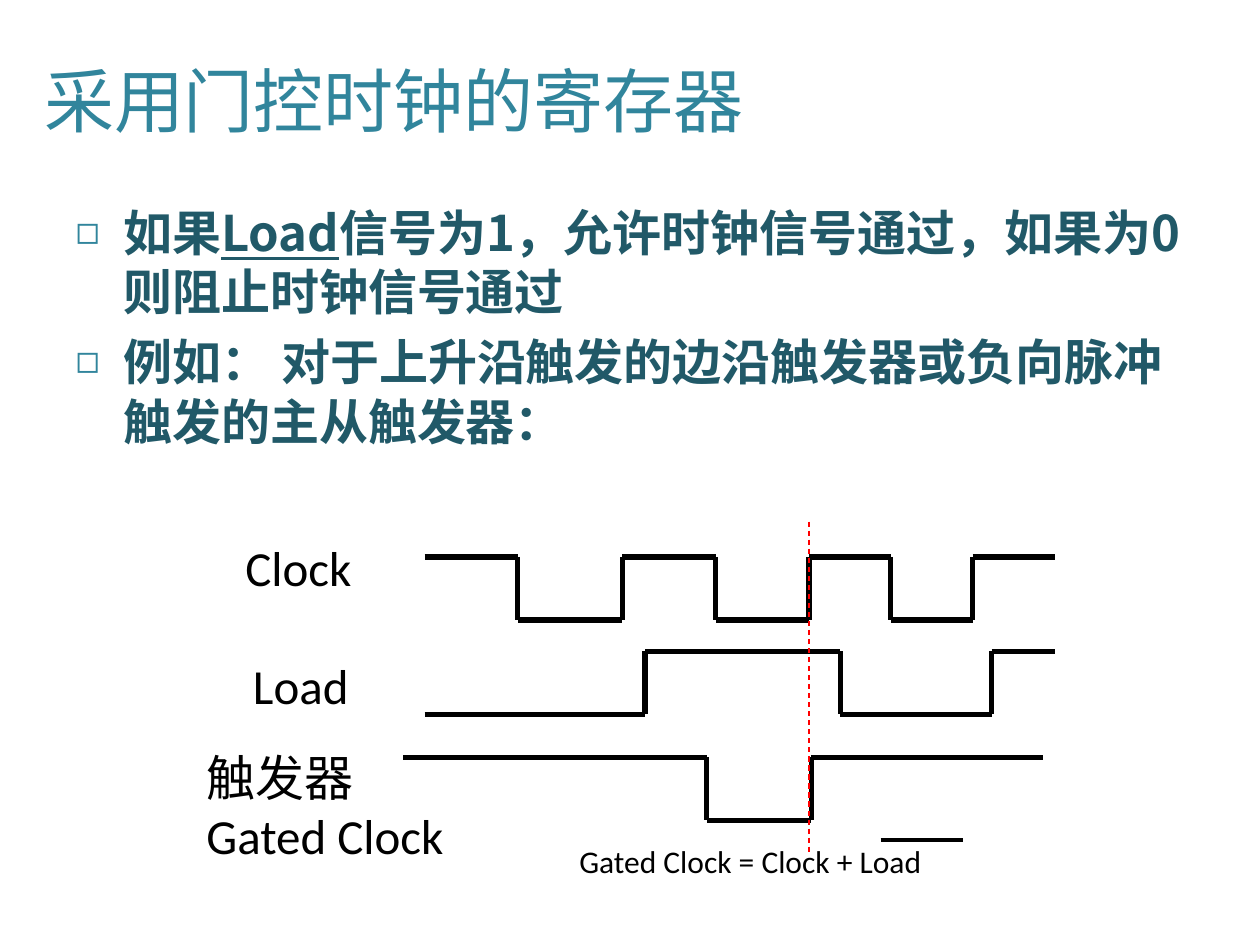
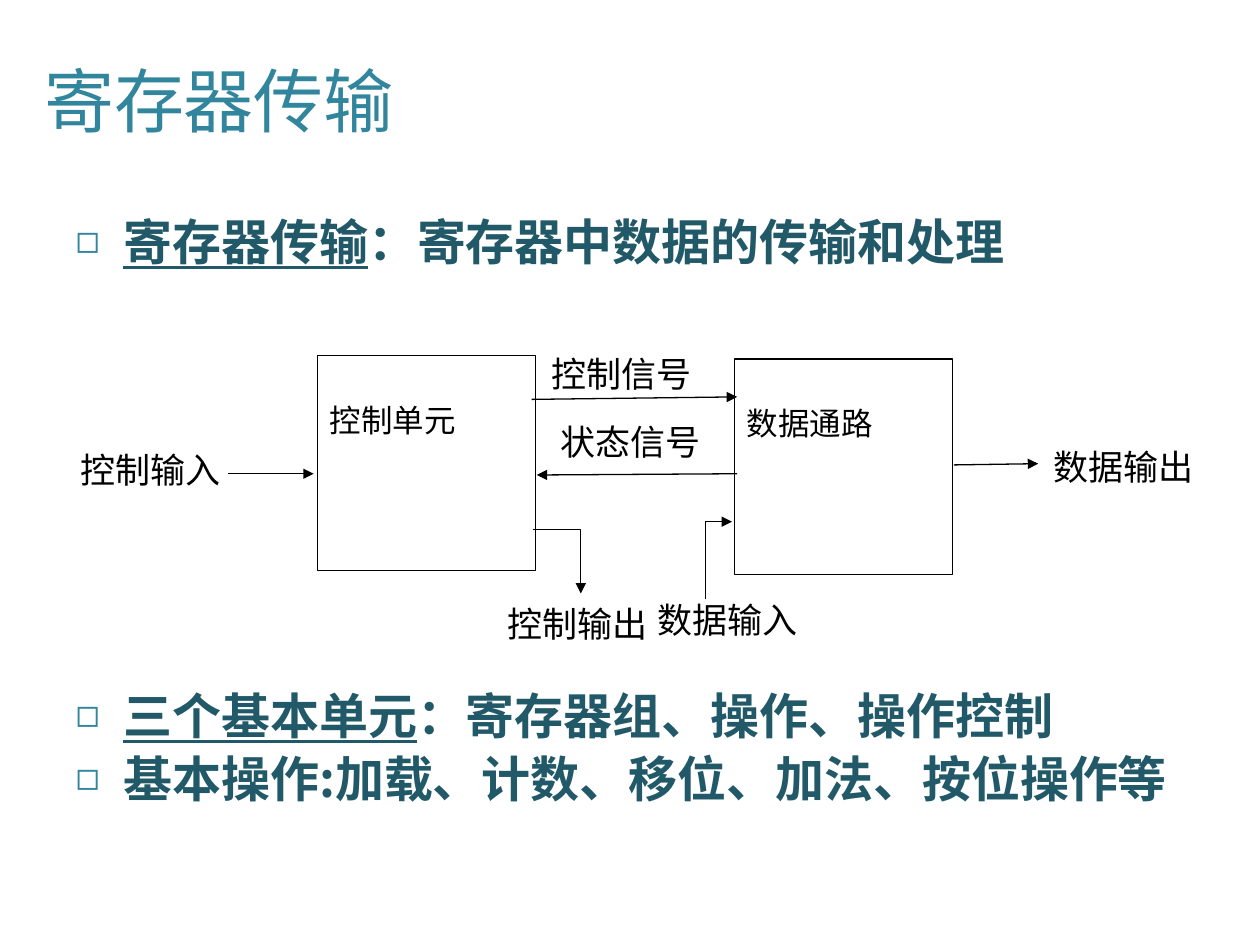
from pptx import Presentation
from pptx.dml.color import RGBColor
from pptx.enum.dml import MSO_LINE
from pptx.enum.shapes import MSO_CONNECTOR, MSO_SHAPE
from pptx.enum.text import MSO_ANCHOR, MSO_AUTO_SIZE, PP_ALIGN
from pptx.oxml.ns import qn
from pptx.util import Pt
from lxml import etree

PX = 9144  # 100 px to the inch
STRAIGHT = MSO_CONNECTOR.STRAIGHT
RECTANGLE = MSO_SHAPE.RECTANGLE
DASH = MSO_LINE.DASH
LEFT = PP_ALIGN.LEFT
TOP, MIDDLE = MSO_ANCHOR.TOP, MSO_ANCHOR.MIDDLE
NO_AUTOFIT = MSO_AUTO_SIZE.NONE

COLOURS = {"title": "31859C", "body": "215968", "ink": "000000", "marker": "FF0000"}
HEADING_FONT, LABEL_FONT = "Noto Sans CJK SC", "Calibri"


def add_span(para, text, size, font, colour, bold=False, underline=False):
    """Add one run with the same font for Latin and East Asian text."""
    span = para.add_run()
    span.text = text
    span.font.size = Pt(size)
    span.font.name = font
    span.font.bold = bold
    span.font.underline = underline
    span.font.color.rgb = RGBColor.from_string(COLOURS[colour])
    latin = span.font._element.find(qn("a:latin"))
    east_asian = etree.Element(qn("a:ea"), typeface=font)
    latin.addnext(east_asian)


def style_line(shape, width=0.75, colour="ink", arrow=False):
    """Set the outline, drop the shadow and put an arrowhead at the end if asked."""
    shape.line.color.rgb = RGBColor.from_string(COLOURS[colour])
    shape.line.width = Pt(width)
    properties = shape._element.spPr
    if properties.find(qn("a:effectLst")) is None:
        etree.SubElement(properties, qn("a:effectLst"))
    if arrow:
        etree.SubElement(properties.find(qn("a:ln")), qn("a:tailEnd"), type="triangle")


deck = Presentation()
deck.slide_width, deck.slide_height = 1000 * PX, 750 * PX

# Titles and lists: each item is (space before in points, [(text, underlined)])
outlines = [
    ("采用门控时钟的寄存器", (50, 155, 900, 495), [
        (0, [("如果", False), ("Load", True),
             ("信号为1，允许时钟信号通过，如果为0则阻止时钟信号通过", False)]),
        (6, [("例如： 对于上升沿触发的边沿触发器或负向脉冲触发的主从触发器：", False)]),
    ]),
    ("寄存器传输", (50, 162, 930, 507), [
        (0, [("寄存器传输", True), ("：寄存器中数据的传输和处理", False)]),
        (237, [("三个基本单元", True), ("：寄存器组、操作、操作控制", False)]),
        (2, [("基本操作:加载、计数、移位、加法、按位操作等", False)]),
    ]),
]

# Labels: (text lines, left, top, width, height, size)
labels = [
    [
        (["Clock"], 185, 422, 136, 57, 28),
        (["Load"], 191, 515, 110, 57, 28),
        (["触发器", "Gated Clock"], 154, 588, 243, 104, 28),
        (["Gated Clock = Clock + Load"], 450, 663, 433, 50, 18),
    ],
    [([text], left, top, 139, 43, 20) for text, left, top in [
        ("控制信号", 428, 275),
        ("状态信号", 435, 329),
        ("控制输出", 393, 473),
        ("数据输入", 512, 470),
        ("数据输出", 826, 349),
        ("控制输入", 54, 351),
    ]],
]

pages = []
for (heading, body_place, items), page_labels in zip(outlines, labels):
    page = deck.slides.add_slide(deck.slide_layouts[1])
    pages.append(page)
    title, body = page.placeholders
    for holder, place in ((title, (25, 27, 766, 104)), (body, body_place)):
        holder.left, holder.top, holder.width, holder.height = (n * PX for n in place)
        holder.text_frame.auto_size = NO_AUTOFIT
    title.text_frame.vertical_anchor = MIDDLE
    para = title.text_frame.paragraphs[0]
    para.alignment = LEFT
    add_span(para, heading, 40, HEADING_FONT, "title")

    for number, (space, spans) in enumerate(items):
        para = body.text_frame.add_paragraph() if number else body.text_frame.paragraphs[0]
        para.space_before = Pt(space)
        para.line_spacing = Pt(34)
        for text, underlined in spans:
            add_span(para, text, 28, HEADING_FONT, "body", True, underlined)
        properties = para._p.get_or_add_pPr()
        properties.set("marL", str(38 * PX))
        properties.set("indent", str(-38 * PX))
        bullet_colour = etree.SubElement(properties, qn("a:buClr"))
        etree.SubElement(bullet_colour, qn("a:srgbClr"), val=COLOURS["title"])
        etree.SubElement(properties, qn("a:buSzPct"), val="80000")
        etree.SubElement(properties, qn("a:buChar"), char="◻")

    for lines, left, top, width, height, size in page_labels:
        box = page.shapes.add_textbox(left * PX, top * PX, width * PX, height * PX)
        box.text_frame.word_wrap = True
        for number, text in enumerate(lines):
            para = box.text_frame.add_paragraph() if number else box.text_frame.paragraphs[0]
            add_span(para, text, size, LABEL_FONT, "ink")

timing_page, transfer_page = pages

# Timing diagram: (high level, low level, starts high, start, edges and end)
waves = [
    (442, 492, True, [337, 411, 494, 568, 642, 707, 772, 837]),
    (517, 567, False, [337, 512, 667, 787, 837]),
    (601, 651, True, [320, 561, 644, 828]),
]
for high, low, is_high, stops in waves:
    points = []
    for start, end in zip(stops, stops[1:]):
        level = high if is_high else low
        points += [(start, level), (end, level)]
        is_high = not is_high
    for (x1, y1), (x2, y2) in zip(points, points[1:]):
        segment = timing_page.shapes.add_connector(STRAIGHT, x1 * PX, y1 * PX, x2 * PX, y2 * PX)
        style_line(segment, 3)

load_bar = timing_page.shapes.add_connector(STRAIGHT, 699 * PX, 667 * PX, 764 * PX, 667 * PX)
style_line(load_bar, 2.25)
edge_marker = timing_page.shapes.add_connector(STRAIGHT, 642 * PX, 414 * PX, 642 * PX, 679 * PX)
style_line(edge_marker, colour="marker")
edge_marker.line.dash_style = DASH

# Register transfer diagram
for name, left, top in [("控制单元", 252, 282), ("数据通路", 583, 285)]:
    unit = transfer_page.shapes.add_shape(RECTANGLE, left * PX, top * PX, 173 * PX, 171 * PX)
    unit.fill.background()
    style_line(unit)
    unit.text_frame.vertical_anchor = TOP
    unit.text_frame.margin_top = 36 * PX
    para = unit.text_frame.paragraphs[0]
    para.alignment = LEFT
    add_span(para, name, 18, LABEL_FONT, "ink")

signals = [
    (422, 317, 585, 315),
    (585, 376, 426, 377),
    (757, 369, 824, 368),
    (181, 376, 249, 376),
]
for signal in signals:
    arrow = transfer_page.shapes.add_connector(STRAIGHT, *(n * PX for n in signal))
    style_line(arrow, arrow=True)

elbows = [
    [(423, 420), (461, 420), (461, 471)],
    [(560, 475), (560, 414), (581, 414)],
]
for start, *corners in elbows:
    builder = transfer_page.shapes.build_freeform(*start, scale=PX)
    builder.add_line_segments(corners, close=False)
    elbow = builder.convert_to_shape()
    elbow.fill.background()
    style_line(elbow, arrow=True)

deck.save("out.pptx")
